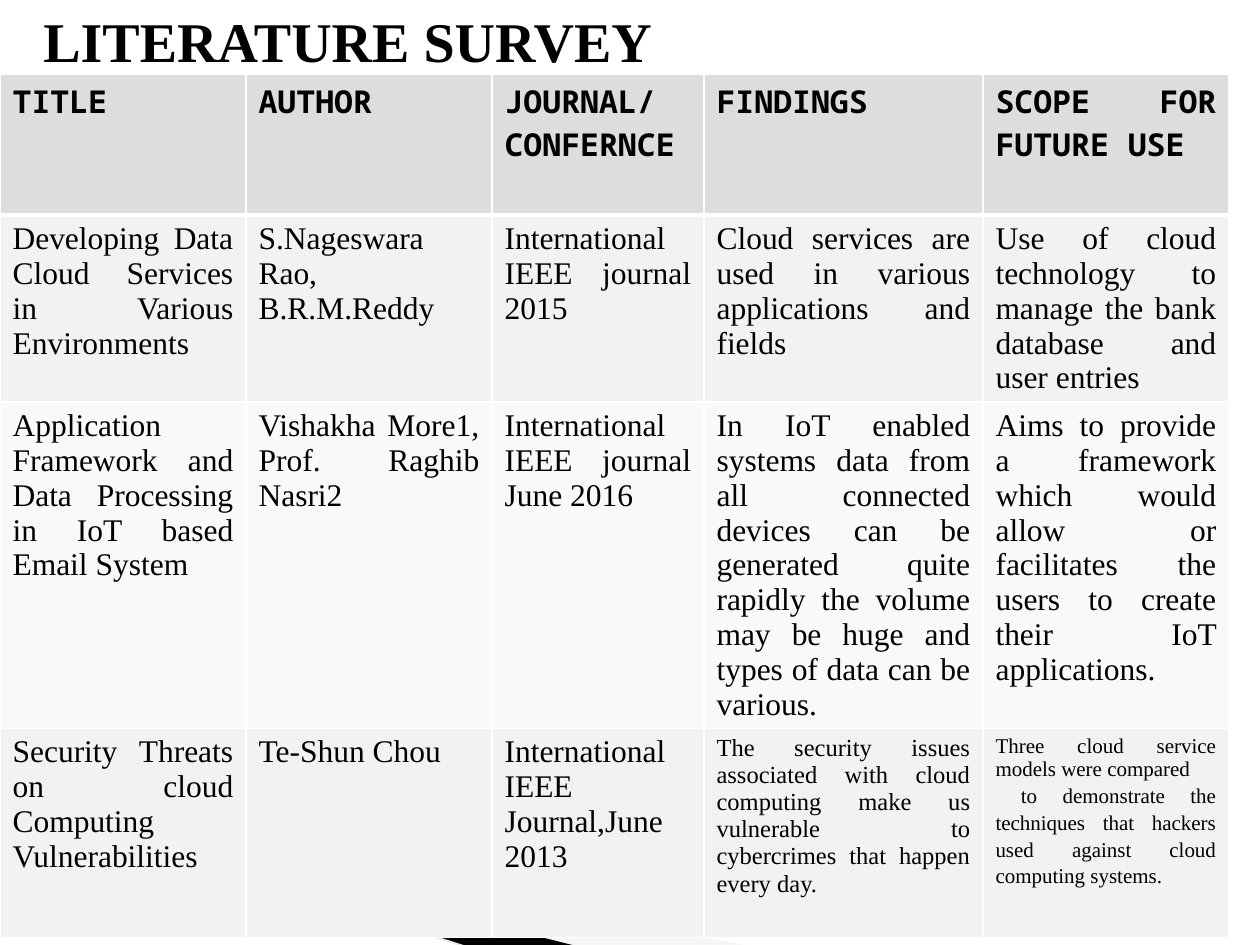
from lxml import etree
from pptx import Presentation, util as u
from pptx.dml.color import RGBColor
from pptx.enum import shapes, text
from pptx.oxml import parse_xml
from pptx.oxml.ns import nsdecls, qn

PX = 914400 / 126
THEME = {
    "ink": RGBColor.from_string("000000"),
    "border": "FFFFFF",
    "head": RGBColor.from_string("DDDDDD"),
    "bands": [RGBColor.from_string(c) for c in ("F2F2F2", "F9F9F9")],
    "wedge": RGBColor.from_string("EAEAEA"),
    "edge": RGBColor.from_string("E8E8E8"),
    "serif": "Times New Roman",
    "mono": "Noto Sans Mono",
    "title": 32, "body": 18, "small": 14, "tiny": 12,
}


def px(n):
    return u.Emu(round(n * PX))


def set_font(p, name, size, bold=False):
    p.font.name, p.font.size, p.font.bold = name, u.Pt(size), bold
    p.font.color.rgb = THEME["ink"]


prs = Presentation()
prs.slide_width, prs.slide_height = px(1260), px(945)
s = prs.slides.add_slide(prs.slide_layouts[6])

# Corner wedges behind the table: frame, outline, colour, opacity
wedges = [
    ((98, 689, 524, 199), [(69, 820), (750, 946), (575, 946), (69, 819)], THEME["wedge"], 40),
    ((-8, 798, 524, 116), [(67, 818), (576, 946), (469, 948), (68, 819)], THEME["ink"], 100),
]
for (left, top, width, height), points, color, opacity in wedges:
    builder = s.shapes.build_freeform(*points[0], scale=PX)
    builder.add_line_segments(points[1:], close=True)
    sp = builder.convert_to_shape()
    # The outline reaches past its frame, so its points are counted from the frame's corner
    outline = next(sp._element.iter(qn("a:path")))
    outline.set("w", str(width))
    outline.set("h", str(height))
    for pt, (x, y) in zip(outline.iter(qn("a:pt")), points):
        pt.set("x", str(x - left))
        pt.set("y", str(y - top))
    sp.left, sp.top, sp.width, sp.height = map(px, (left, top, width, height))
    sp.shadow.inherit = False
    sp.fill.solid()
    sp.fill.fore_color.rgb = color
    sp.line.fill.background()
    if opacity < 100:
        clr = sp.fill._xPr.find(qn("a:solidFill"))[0]
        etree.SubElement(clr, qn("a:alpha"), val=str(opacity * 1000))

edge = s.shapes.add_connector(shapes.MSO_CONNECTOR.STRAIGHT, px(-1), px(798), px(467), px(947))
edge.line.color.rgb = THEME["edge"]
edge.line.width = u.Pt(0.95)
etree.SubElement(edge._element.spPr, qn("a:effectLst"))

# Survey table: a cell is a list of paragraphs
columns = [246, 246, 212, 279, 246]
heights = [141, 187, 326, 209]
rows = [
    [["TITLE"], ["AUTHOR"], ["JOURNAL/CONFERNCE"], ["FINDINGS"], ["SCOPE FOR FUTURE USE"]],
    [["Developing Data Cloud Services in Various Environments"],
     ["S.Nageswara Rao,", "B.R.M.Reddy"],
     ["International IEEE journal 2015"],
     ["Cloud services are used in various applications and fields"],
     ["Use of cloud technology to manage the bank database and user entries"]],
    [["Application Framework and Data Processing in IoT based Email System"],
     ["Vishakha More1, Prof. Raghib Nasri2"],
     ["International IEEE journal June 2016"],
     ["In IoT enabled systems data from all connected devices can be generated quite "
      "rapidly the volume may be huge and types of data can be various."],
     ["Aims to provide a framework which would allow or facilitates the users to "
      "create their IoT applications."]],
    [["Security Threats on cloud Computing Vulnerabilities"],
     ["Te-Shun Chou"],
     ["International IEEE Journal,June 2013"],
     ["The security issues associated with cloud computing make us vulnerable to "
      "cybercrimes that happen every day."],
     ["Three cloud service models were compared",
      " to demonstrate the techniques that hackers used against cloud computing systems."]],
]
cell_sizes = {(3, 3): THEME["small"], (3, 4): THEME["tiny"]}

table = s.shapes.add_table(len(rows), len(columns), px(0), px(74),
                           px(sum(columns)), px(sum(heights))).table
for col, width in zip(table.columns, columns):
    col.width = px(width)
for i, row in enumerate(rows):
    table.rows[i].height = px(heights[i])
    for j, paragraphs in enumerate(row):
        cell = table.cell(i, j)
        tcPr = cell._tc.get_or_add_tcPr()
        for side in "LRTB":
            # The rule between the header and the body is heavier
            heavy = (i, side) in ((0, "B"), (1, "T"))
            tcPr.append(parse_xml(
                f'<a:ln{side} {nsdecls("a")} w="{u.Pt(3 if heavy else 1)}"><a:solidFill>'
                f'<a:srgbClr val="{THEME["border"]}"/></a:solidFill></a:ln{side}>'))
        cell.fill.solid()
        cell.fill.fore_color.rgb = THEME["bands"][(i - 1) % 2] if i else THEME["head"]
        cell.text_frame.text = "\n".join(paragraphs)
        for p in cell.text_frame.paragraphs:
            p.alignment = text.PP_ALIGN.JUSTIFY
            set_font(p, THEME["serif" if i else "mono"],
                     cell_sizes.get((i, j), THEME["body"]), bold=i == 0)
table.cell(3, 4).text_frame.paragraphs[1].line_spacing = 1.15

title = s.shapes.add_textbox(px(31), px(0), px(683), px(81))
tf = title.text_frame
tf.word_wrap = True
tf.text = "LITERATURE SURVEY"
set_font(tf.paragraphs[0], THEME["serif"], THEME["title"], bold=True)

prs.save("out.pptx")
